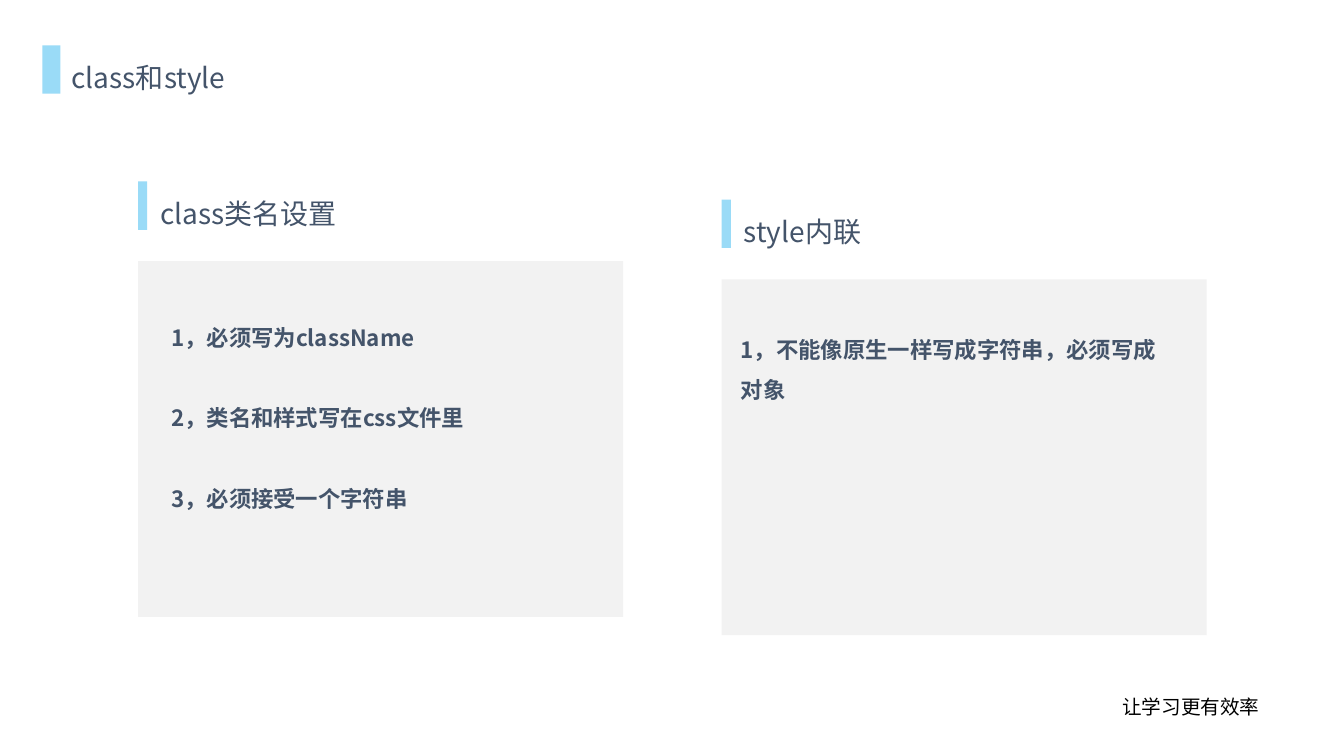
from pptx import Presentation
from pptx.dml.color import RGBColor
from pptx.enum.shapes import MSO_SHAPE as Preset
from pptx.enum.text import MSO_AUTO_SIZE as AutoSize, PP_ALIGN as Align
from pptx.oxml import parse_xml
from pptx.oxml.ns import nsdecls
from pptx.util import Inches, Pt

COLORS = {"accent": "9ADBF7", "panel": "F2F2F2", "ink": "44546A", "footer": "000000"}
FONT = "Noto Sans CJK SC"


class SlideBuilder:
    """Holds the style and the slide; places are percentages of the slide's size."""

    def __init__(self, presentation):
        self.width = presentation.slide_width
        self.height = presentation.slide_height
        self.slide = presentation.slides.add_slide(presentation.slide_layouts[6])

    def place(self, left, top, width, height):
        sizes = (self.width, self.height, self.width, self.height)
        return [round(share * size / 100)
                for share, size in zip((left, top, width, height), sizes)]

    def block(self, color, *place):
        shape = self.slide.shapes.add_shape(Preset.RECTANGLE, *self.place(*place))
        shape.shadow.inherit = False
        shape.fill.solid()
        shape.fill.fore_color.rgb = RGBColor.from_string(COLORS[color])
        shape.line.fill.background()

    def text(self, lines, *place, size=20, color="ink", bold=False, indent=0.1,
             spacing=1.5, gap=0, align=Align.LEFT):
        frame = self.slide.shapes.add_textbox(*self.place(*place)).text_frame
        frame.word_wrap = True
        frame.auto_size = AutoSize.SHAPE_TO_FIT_TEXT
        frame.margin_left = Inches(indent)
        for number, line in enumerate(lines):
            paragraph = frame.add_paragraph() if number else frame.paragraphs[0]
            paragraph.alignment = align
            paragraph.line_spacing = spacing
            paragraph.space_before = Pt(gap if number else 0)
            run = paragraph.add_run()
            run.text = line
            font = run.font
            font.name, font.size, font.bold = FONT, Pt(size), bold
            font.color.rgb = RGBColor.from_string(COLORS[color])
            # East Asian glyphs need their own typeface entry
            font._element.find("{*}latin").addnext(
                parse_xml(f'<a:ea {nsdecls("a")} typeface="{FONT}"/>'))

    def heading(self, title, left, top, width, bar_width, indent):
        self.text([title], left, top, width, 7.33, indent=indent)
        self.block("accent", left, top + 0.93, bar_width, 6.4)

    def card(self, title, points, left, top, inset, drop, body_height):
        self.block("panel", left, top + 11.47, 36.08, 47.07)
        self.text(points, left + inset, top + drop, 32.55, body_height,
                  size=16, bold=True, gap=28.8)
        self.heading(title, left, top, 37.43, 0.68, 0.22)


def main():
    presentation = Presentation()
    presentation.slide_width = Inches(13.33)
    presentation.slide_height = Inches(7.5)
    builder = SlideBuilder(presentation)

    # Footer slogan
    builder.text(["让学习更有效率"], 73.2, 91.2, 30.83, 4.53, size=14,
                 color="footer", spacing=1, align=Align.CENTER)

    # Slide title
    builder.heading("class和style", 3.15, 5.07, 73.9, 1.35, 0.29)

    # Two topic cards
    builder.card("class类名设置",
                 ["1，必须写为className", "2，类名和样式写在css文件里", "3，必须接受一个字符串"],
                 10.28, 23.07, 1.72, 17.33, 33.07)
    builder.card("style内联", ["1，不能像原生一样写成字符串，必须写成对象"],
                 53.7, 25.47, 0.68, 16.53, 11.6)

    presentation.save("out.pptx")


if __name__ == "__main__":
    main()
